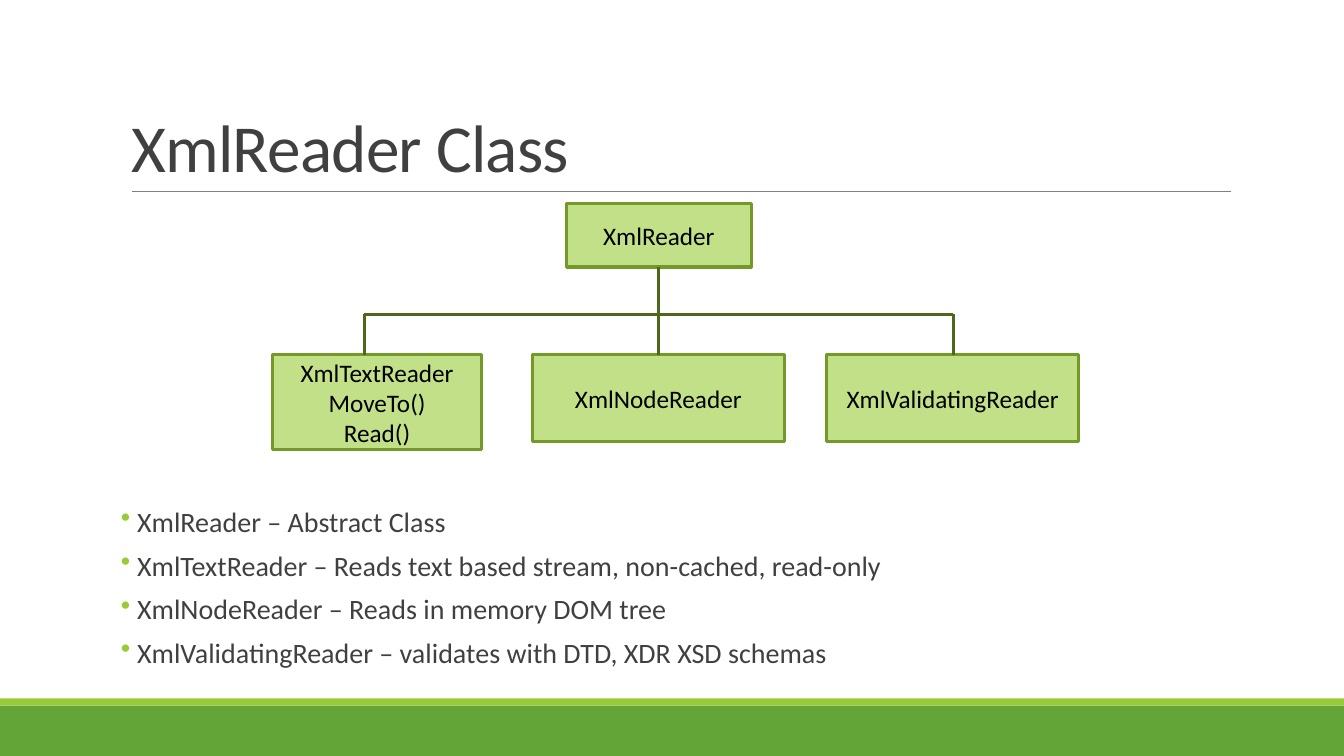
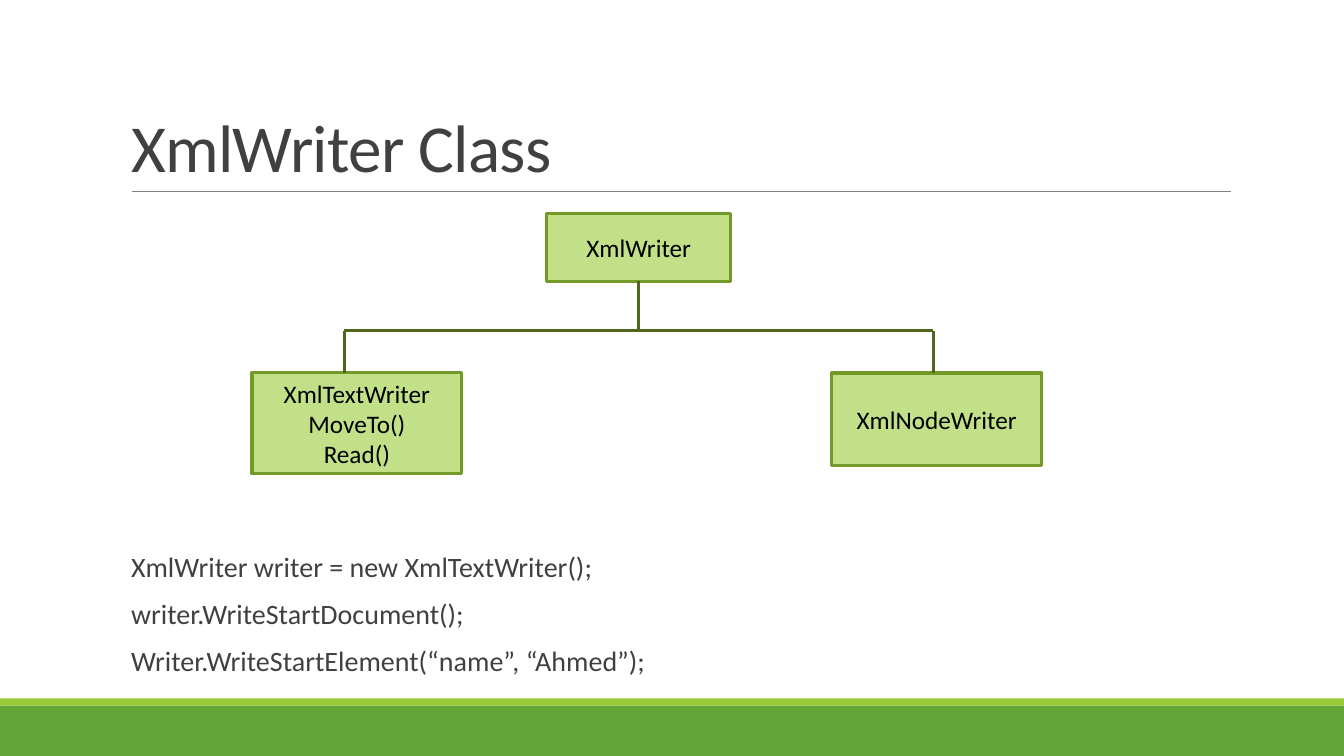
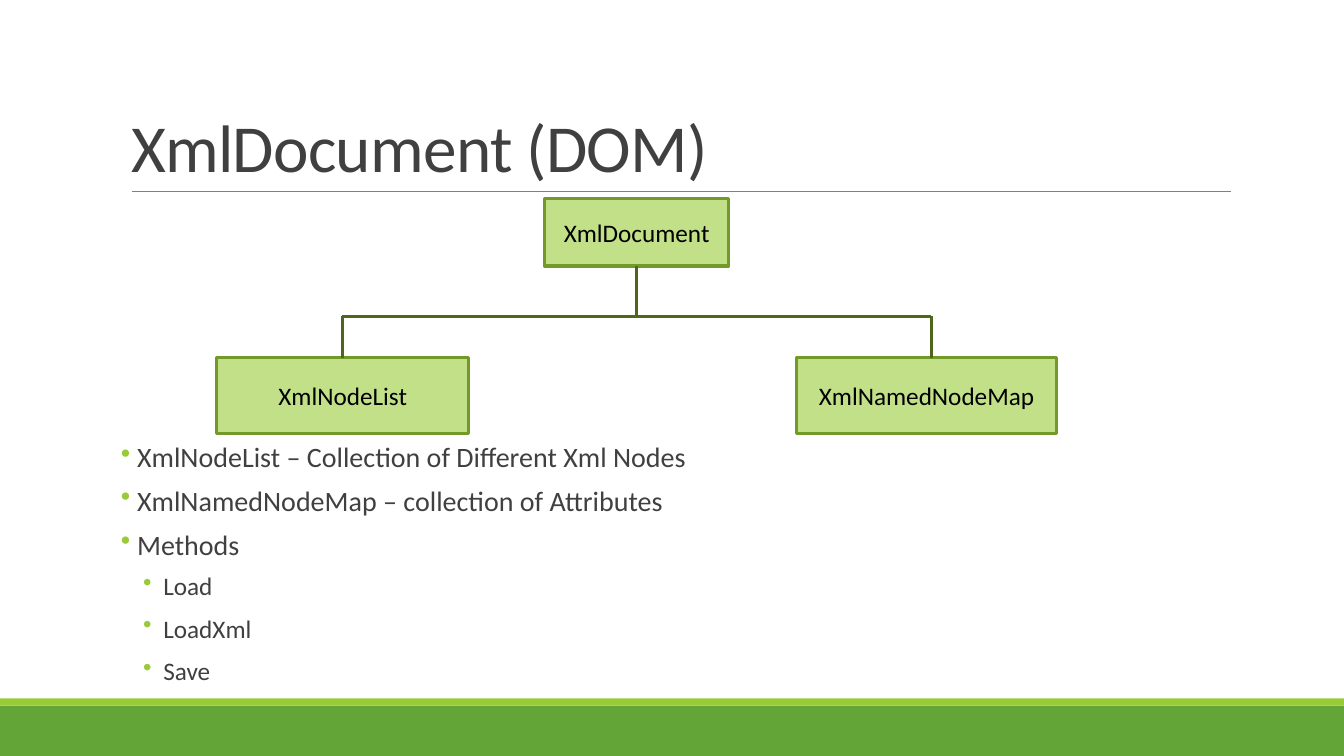
from dataclasses import dataclass
from lxml.etree import SubElement
from pptx import Presentation
from pptx.dml.color import RGBColor
from pptx.enum.shapes import MSO_CONNECTOR, MSO_SHAPE
from pptx.enum.text import MSO_ANCHOR, MSO_AUTO_SIZE, PP_ALIGN
from pptx.oxml.ns import qn
from pptx.util import Inches, Pt


@dataclass(frozen=True)
class Theme:
    font: str = "Calibri"
    band: str = "63A537"
    lime: str = "99CB38"
    rule: str = "808080"
    ink: str = "404040"
    black: str = "000000"
    fill: str = "C2E088"
    edge: str = "739A28"
    link: str = "4D671B"
    head: int = 48
    body: int = 20
    small: int = 18


theme = Theme()


def write(frame, lines, size=theme.body, color=theme.ink, align=PP_ALIGN.LEFT,
          anchor=MSO_ANCHOR.TOP, wrap=True, inset=0.1, lead=1, before=0,
          after=0, left=0, hang=0, bullet=False, track=0):
    frame.auto_size = MSO_AUTO_SIZE.NONE
    frame.word_wrap = wrap
    frame.vertical_anchor = anchor
    frame.margin_left = frame.margin_right = Inches(inset)
    for row, line in enumerate(lines):
        text, level = line if isinstance(line, tuple) else (line, 0)
        para = frame.paragraphs[0] if row == 0 else frame.add_paragraph()
        props = para._p.get_or_add_pPr()
        pad, tab = (0.42, 0.2) if level else (left, hang)
        props.set("marL", str(Inches(pad)))
        props.set("indent", str(Inches(-tab)))
        if bullet:
            tint = SubElement(props, qn("a:buClr"))
            SubElement(tint, qn("a:srgbClr")).set("val", theme.lime)
            SubElement(props, qn("a:buChar")).set("char", "•")
        para.level = level
        para.alignment = align
        para.line_spacing = lead
        points = theme.small if level else size
        para.space_before = Pt(points * before if row else 0)
        para.space_after = Pt(4 if level else after)
        run = para.add_run()
        run.text = text
        run.font.name = theme.font
        run.font.size = Pt(points)
        run.font.color.rgb = RGBColor.from_string(color)
        if track:
            run._r.get_or_add_rPr().set("spc", str(track))


def join(slide, x1, y1, x2, y2, color=theme.link, width=2.25):
    line = slide.shapes.add_connector(
        MSO_CONNECTOR.STRAIGHT, Inches(x1), Inches(y1), Inches(x2), Inches(y2))
    line.line.color.rgb = RGBColor.from_string(color)
    line.line.width = Pt(width)
    SubElement(line.element.spPr, qn("a:effectLst"))
    return line


points = {"lead": 0.8, "left": 0.16, "hang": 0.16, "bullet": True}
code = {"lead": 0.9, "left": 0.1}
calls = ["MoveTo()", "Read()"]

plans = [
    {
        "title": "XmlReader Class",
        "root": (5.62, 2.02, 1.83, 0.63, ["XmlReader"]),
        "bus": 3.12,
        "drops": (-2.92, 0, 2.92),
        "kids": [
            (2.7, 3.52, 2.08, 0.94, ["XmlTextReader", *calls]),
            (5.28, 3.52, 2.5, 0.86, ["XmlNodeReader"]),
            (8.2, 3.52, 2.5, 0.86, ["XmlValidatingReader"]),
        ],
        "top": 5.02,
        "high": 1.88,
        "style": points,
        "body": [
            "XmlReader – Abstract Class",
            "XmlTextReader – Reads text based stream, non-cached, read-only",
            "XmlNodeReader – Reads in memory DOM tree",
            "XmlValidatingReader – validates with DTD, XDR XSD schemas",
        ],
    },
    {
        "title": "XmlWriter Class",
        "root": (5.42, 2.12, 1.83, 0.67, ["XmlWriter"]),
        "bus": 3.28,
        "drops": (-2.92, 2.92),
        "kids": [
            (2.5, 3.7, 2.08, 1, ["XmlTextWriter", *calls]),
            (8.25, 3.7, 2.08, 0.92, ["XmlNodeWriter"]),
        ],
        "top": 5.44,
        "high": 1.44,
        "style": code,
        "body": [
            "XmlWriter writer = new XmlTextWriter();",
            "writer.WriteStartDocument();",
            "Writer.WriteStartElement(“name”, “Ahmed”);",
        ],
    },
    {
        "title": "XmlDocument (DOM)",
        "root": (5.4, 1.97, 1.83, 0.67, ["XmlDocument"]),
        "bus": 3.14,
        "drops": (-2.92, 2.92),
        "kids": [
            (2.15, 3.55, 2.5, 0.75, ["XmlNodeList"]),
            (7.9, 3.55, 2.58, 0.75, ["XmlNamedNodeMap"]),
        ],
        "top": 4.38,
        "high": 2.81,
        "style": points,
        "body": [
            "XmlNodeList – Collection of Different Xml Nodes",
            "XmlNamedNodeMap – collection of Attributes",
            "Methods",
            ("Load", 1),
            ("LoadXml", 1),
            ("Save", 1),
        ],
    },
]

deck = Presentation()
deck.slide_width = Inches(13.33)
deck.slide_height = Inches(7.5)
layout = deck.slide_layouts[5]
for holder in list(layout.placeholders)[1:]:
    layout.shapes.element.remove(holder.element)
slides = [deck.slides.add_slide(layout) for plan in plans]

shared = [join(slides[0], 1.31, 1.9, 12.21, 1.9, theme.rule, 0.5)]
for top, high, color in [(7, 0.5, theme.band), (6.93, 0.07, theme.lime)]:
    band = slides[0].shapes.add_shape(
        MSO_SHAPE.RECTANGLE, 0, Inches(top), deck.slide_width, Inches(high))
    band.shadow.inherit = False
    band.fill.solid()
    band.fill.fore_color.rgb = RGBColor.from_string(color)
    band.line.fill.background()
    shared.append(band)
for item in shared:
    layout.shapes.element.append(item.element)

for slide, plan in zip(slides, plans):
    title = slide.shapes.title
    title.left, title.top = Inches(1.2), Inches(0.31)
    title.width, title.height = Inches(11), Inches(1.59)
    write(title.text_frame, [plan["title"]], size=theme.head,
          anchor=MSO_ANCHOR.BOTTOM, lead=0.85, track=-50)

    body = slide.shapes.add_textbox(
        Inches(1.2), Inches(plan["top"]), Inches(11), Inches(plan["high"]))
    write(body.text_frame, plan["body"], inset=0, before=0.5, after=2,
          **plan["style"])

    for x, y, wide, high, lines in [plan["root"], *plan["kids"]]:
        box = slide.shapes.add_shape(
            MSO_SHAPE.RECTANGLE, Inches(x), Inches(y), Inches(wide), Inches(high))
        box.shadow.inherit = False
        box.fill.solid()
        box.fill.fore_color.rgb = RGBColor.from_string(theme.fill)
        box.line.color.rgb = RGBColor.from_string(theme.edge)
        box.line.width = Pt(2.25)
        write(box.text_frame, lines, size=theme.small, color=theme.black,
              align=PP_ALIGN.CENTER, anchor=MSO_ANCHOR.MIDDLE, wrap=False)

    x, y, wide, high, lines = plan["root"]
    mid, bus, drops = x + wide / 2, plan["bus"], plan["drops"]
    join(slide, mid, y + high, mid, bus)
    join(slide, mid + drops[0], bus, mid + drops[-1], bus)
    for drop in drops:
        join(slide, mid + drop, bus, mid + drop, plan["kids"][0][1])

deck.save("out.pptx")
